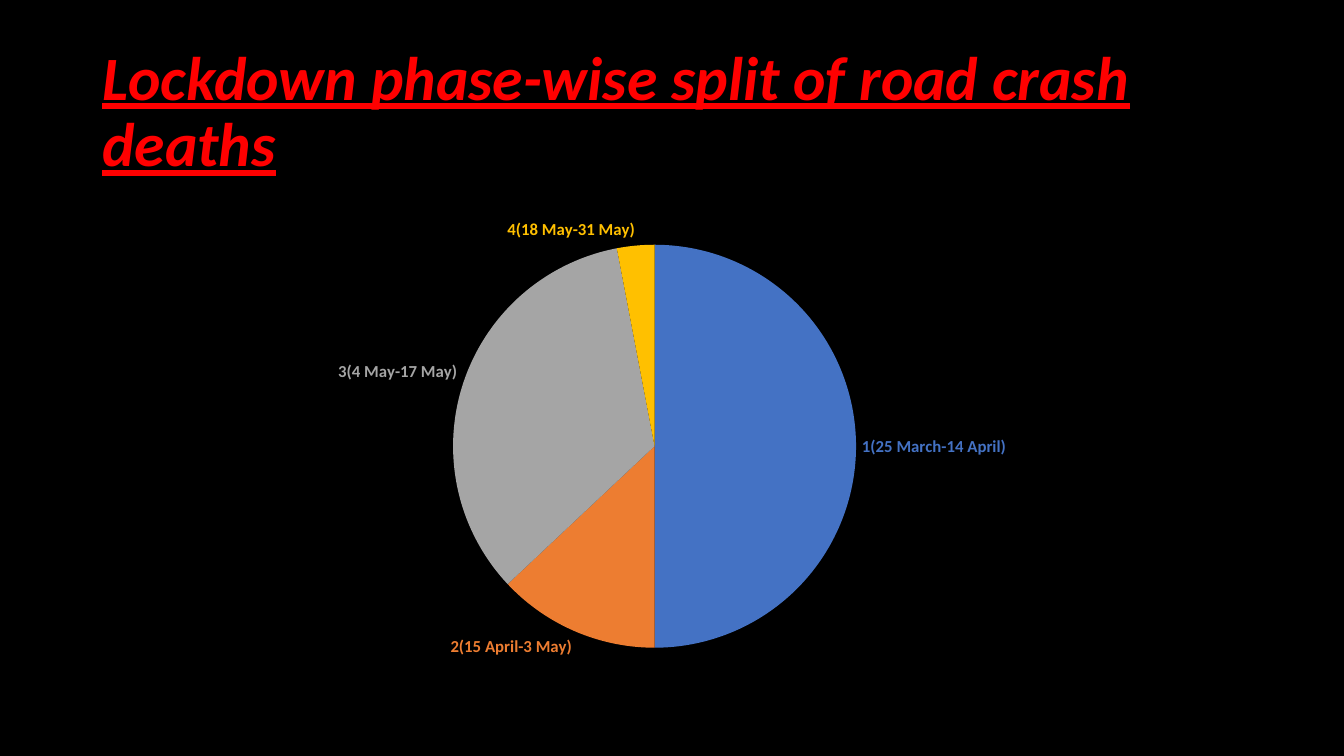
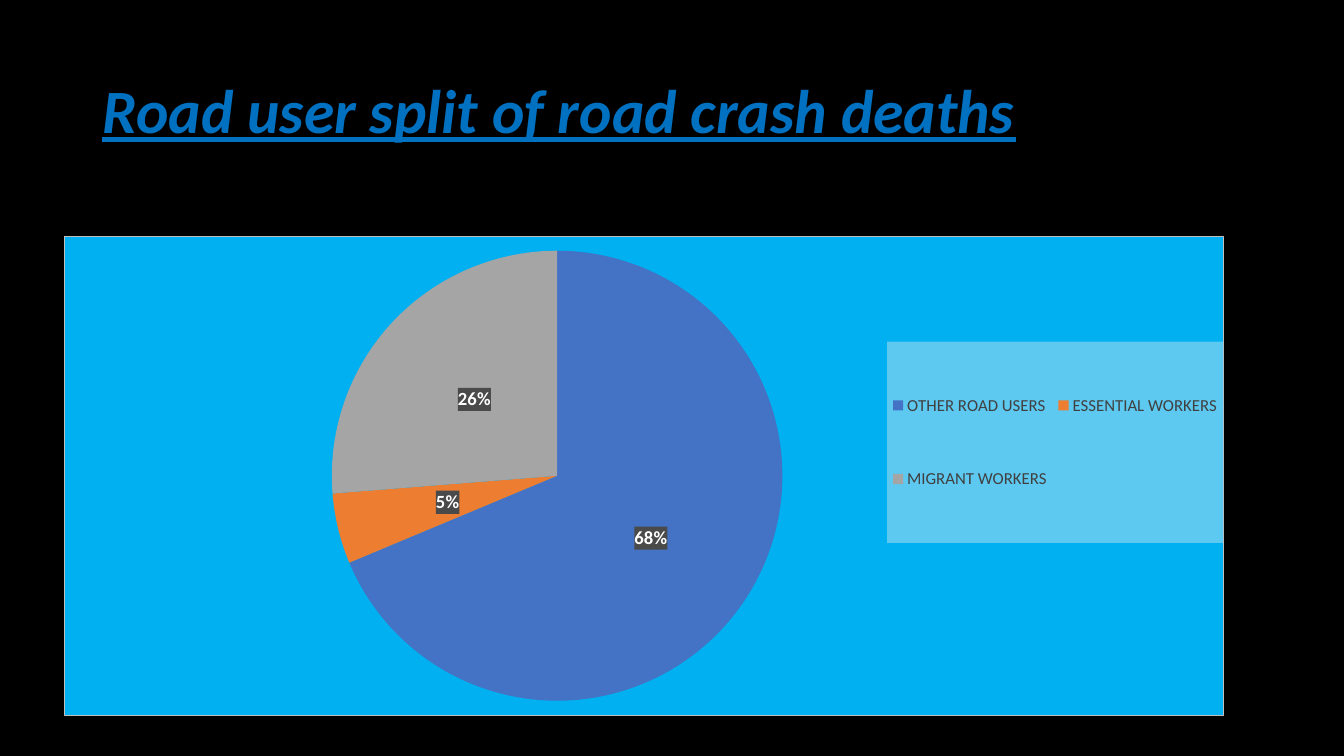
import pptx
import pptx.chart.data
import pptx.dml.color
import pptx.enum.chart
import pptx.enum.text
import pptx.oxml
import pptx.oxml.ns
import pptx.util
from dataclasses import dataclass

Pt = pptx.util.Pt
qn = pptx.oxml.ns.qn


@dataclass(frozen=True)
class Theme:
    font: str = "Calibri"
    background: str = "000000"
    text: str = "FFFFFF"
    slices: tuple = ("4472C4", "ED7D31", "A5A5A5", "FFC000")
    border: str = "BFBFBF"
    label_fill: str = "4A4A4A"
    legend_fill: str = "5DC8F0"
    legend_text: str = "404040"
    title_size: float = 44
    chart_size: float = 10
    category_size: float = 12
    value_size: float = 13.3
    legend_size: float = 12


THEME = Theme()
TITLE_BOX = (66, 28.8, 828, 104.4)
CHART_SIZE = (828, 342.7)

# Content; plot and legend frames are fractions of the chart: left, top, width, height
SLIDES = [
    {
        "title": "Lockdown phase-wise split of road crash deaths",
        "title_color": "FF0000",
        "values": {"1(25 March-14 April)": 50, "2(15 April-3 May)": 13,
                   "3(4 May-17 May)": 34, "4(18 May-31 May)": 3},
        "corner": (66, 144),
        "plot": (0.31, 0.09, 0.35, 0.84),
        "fill": None,
        "legend": None,
    },
    {
        "title": "Road user split of road crash deaths",
        "title_color": "0070C0",
        "values": {"OTHER ROAD USERS": 68, "ESSENTIAL WORKERS": 5, "MIGRANT WORKERS": 26},
        "corner": (46, 168.5),
        "plot": (0.23, 0.03, 0.39, 0.94),
        "fill": "00B0F0",
        "legend": (0.71, 0.22, 0.29, 0.42),
    },
]


def color(value):
    return pptx.dml.color.RGBColor.from_string(value)


def style_font(font, size, value, bold=False):
    font.name, font.size, font.bold = THEME.font, Pt(size), bold
    font.color.rgb = color(value)


def chart_xml(tag, body):
    return pptx.oxml.parse_xml(
        f'<c:{tag} {pptx.oxml.ns.nsdecls("c", "a")}>{body}</c:{tag}>')


def area_style(fill, border=None):
    def paint(value):
        return (f'<a:solidFill><a:srgbClr val="{value}"/></a:solidFill>'
                if value else "<a:noFill/>")
    return chart_xml("spPr", f'{paint(fill)}<a:ln w="{Pt(0.75)}">{paint(border)}</a:ln>')


def frame_layout(frame, inner=False):
    target = '<c:layoutTarget val="inner"/>' if inner else ""
    modes = "".join(f'<c:{axis}Mode val="edge"/>' for axis in "xy")
    sizes = "".join(f'<c:{axis} val="{value}"/>' for axis, value in zip("xywh", frame))
    return chart_xml("layout", f"<c:manualLayout>{target}{modes}{sizes}</c:manualLayout>")


def drop_layout(element):
    for old in element.findall(qn("c:layout")):
        element.remove(old)


def add_title(page, content):
    title = page.shapes.title
    title.left, title.top, title.width, title.height = map(Pt, TITLE_BOX)
    frame = title.text_frame
    frame.word_wrap = True
    frame.auto_size = pptx.enum.text.MSO_AUTO_SIZE.NONE
    frame.vertical_anchor = pptx.enum.text.MSO_ANCHOR.MIDDLE
    para = frame.paragraphs[0]
    para.alignment = pptx.enum.text.PP_ALIGN.LEFT
    para.line_spacing = 0.9
    span = para.add_run()
    span.text = content["title"]
    style_font(span.font, THEME.title_size, content["title_color"], bold=True)
    span.font.italic = span.font.underline = True


def label_categories(series, count):
    """Name each slice outside it, in its own colour."""
    outside = pptx.enum.chart.XL_LABEL_POSITION.OUTSIDE_END
    series.data_labels.position = outside
    for index in range(count):
        label = series.points[index].data_label
        style_font(label.font, THEME.category_size, THEME.slices[index], bold=True)
        label.position = outside
    labels = series.data_labels._element
    for tag, shown in (("showVal", "0"), ("showPercent", "0"), ("showCatName", "1")):
        for flag in labels.iter(qn(f"c:{tag}")):
            flag.set("val", shown)


def label_values(series):
    """Write each share in the middle of its slice, on a dark patch."""
    labels = series.data_labels
    labels.show_value = True
    labels.number_format, labels.number_format_is_linked = '0"%"', False
    labels.position = pptx.enum.chart.XL_LABEL_POSITION.CENTER
    style_font(labels.font, THEME.value_size, THEME.text, bold=True)
    labels._element.find(qn("c:txPr")).addprevious(area_style(THEME.label_fill))


def add_legend(chart, frame):
    chart.has_legend = True
    legend = chart.legend
    legend.position = pptx.enum.chart.XL_LEGEND_POSITION.RIGHT
    legend.include_in_layout = False
    style_font(legend.font, THEME.legend_size, THEME.legend_text)
    element = legend._element
    drop_layout(element)
    element.find(qn("c:overlay")).addprevious(frame_layout(frame))
    element.find(qn("c:txPr")).addprevious(area_style(THEME.legend_fill))


def add_pie(page, content):
    data = pptx.chart.data.CategoryChartData()
    data.categories = list(content["values"])
    data.add_series("Series 1", list(content["values"].values()))
    chart = page.shapes.add_chart(
        pptx.enum.chart.XL_CHART_TYPE.PIE,
        *map(Pt, content["corner"] + CHART_SIZE), data).chart
    chart.has_title = chart.has_legend = False
    style_font(chart.font, THEME.chart_size, THEME.text)

    # Chart background and pie position
    space = chart._chartSpace
    border = THEME.border if content["fill"] else None
    space.find(qn("c:txPr")).addprevious(area_style(content["fill"], border))
    plot_area = space.find(qn("c:chart")).find(qn("c:plotArea"))
    drop_layout(plot_area)
    plot_area.insert(0, frame_layout(content["plot"], inner=True))

    # Slices
    chart.plots[0].vary_by_categories = True
    series = chart.plots[0].series[0]
    count = len(content["values"])
    for index in range(count):
        fill = series.points[index].format.fill
        fill.solid()
        fill.fore_color.rgb = color(THEME.slices[index])

    # Labels and legend
    if content["legend"]:
        label_values(series)
        add_legend(chart, content["legend"])
    else:
        label_categories(series, count)


def main():
    deck = pptx.Presentation()
    deck.slide_width, deck.slide_height = Pt(960), Pt(540)
    background = deck.slide_master.background.fill
    background.solid()
    background.fore_color.rgb = color(THEME.background)
    for content in SLIDES:
        page = deck.slides.add_slide(deck.slide_layouts[5])
        add_title(page, content)
        add_pie(page, content)
    deck.save("out.pptx")


if __name__ == "__main__":
    main()
